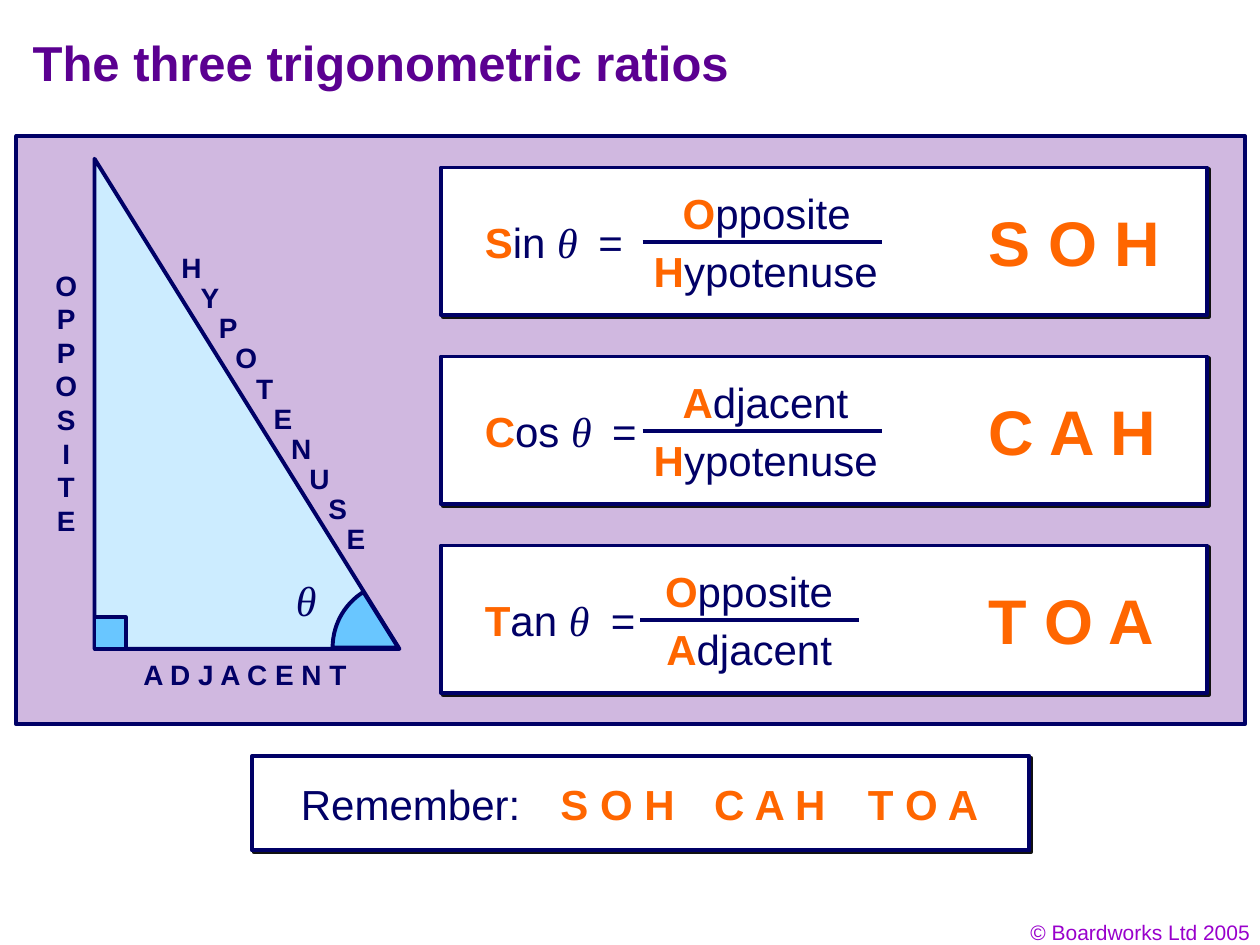
import math
from dataclasses import dataclass

import lxml.etree
import pptx
import pptx.dml.color
import pptx.enum.shapes
import pptx.enum.text
import pptx.oxml.ns
import pptx.util
from pptx.util import Inches

NAVY = pptx.dml.color.RGBColor(0x00, 0x00, 0x66)
INK = pptx.dml.color.RGBColor(0x01, 0x00, 0x66)
ORANGE = pptx.dml.color.RGBColor(0xFF, 0x66, 0x00)
PURPLE = pptx.dml.color.RGBColor(0x5B, 0x00, 0x91)
VIOLET = pptx.dml.color.RGBColor(0x99, 0x00, 0xCC)
LILAC = pptx.dml.color.RGBColor(0xD0, 0xB8, 0xE0)
PALE_BLUE = pptx.dml.color.RGBColor(0xCC, 0xEC, 0xFF)
SKY_BLUE = pptx.dml.color.RGBColor(0x69, 0xC6, 0xFF)
WHITE = pptx.dml.color.RGBColor(0xFF, 0xFF, 0xFF)
SHADOW = pptx.dml.color.RGBColor(0x11, 0x11, 0x11)

SHAPES = pptx.enum.shapes.MSO_SHAPE
ALIGN = pptx.enum.text.PP_ALIGN
qn = pptx.oxml.ns.qn


@dataclass(frozen=True)
class Span:
    text: str
    color: pptx.dml.color.RGBColor = INK
    bold: bool = False
    italic: bool = False
    font: str = "Arial"


@dataclass(frozen=True)
class Ratio:
    name: str
    top_word: str
    bottom_word: str
    acronym: str
    equals_tab: float
    top_left: float
    bottom_left: float
    bar_left: float
    bar_right: float


RATIOS = [
    Ratio("Sin", "Opposite", "Hypotenuse", "S O H", 0.9, 5.32, 5.09, 5.1, 7),
    Ratio("Cos", "Adjacent", "Hypotenuse", "C A H", 1.01, 5.32, 5.09, 5.1, 7),
    Ratio("Tan", "Opposite", "Adjacent", "T O A", 1, 5.18, 5.19, 5.08, 6.82),
]


def add_shadow(effects, distance: float) -> None:
    shadow = lxml.etree.SubElement(
        effects, qn("a:outerShdw"), dist=str(pptx.util.Pt(distance)),
        dir="2700000", algn="ctr", rotWithShape="0")
    lxml.etree.SubElement(shadow, qn("a:srgbClr"), val=str(SHADOW))


def fill_text(frame, lines, *, size: float, align=ALIGN.LEFT,
              tab: float = 0, shadow: bool = False) -> None:
    frame.word_wrap = True
    for index, spans in enumerate(lines):
        para = frame.add_paragraph() if index else frame.paragraphs[0]
        para.alignment = align
        if tab:
            tabs = lxml.etree.SubElement(para._p.get_or_add_pPr(), qn("a:tabLst"))
            lxml.etree.SubElement(tabs, qn("a:tab"), pos=str(Inches(tab)), algn="l")
        for span in spans:
            run = para.add_run()
            run.text = span.text
            run.font.size = pptx.util.Pt(size)
            run.font.bold = span.bold
            run.font.italic = span.italic
            run.font.name = span.font
            run.font.color.rgb = span.color
            if shadow:
                effects = lxml.etree.Element(qn("a:effectLst"))
                run._r.rPr.find(qn("a:solidFill")).addnext(effects)
                add_shadow(effects, 1.4)


def add_text(page, left: float, top: float, width: float, height: float,
             *lines, **style) -> None:
    box = page.shapes.add_textbox(
        Inches(left), Inches(top), Inches(width), Inches(height))
    fill_text(box.text_frame, lines, **style)


def paint(shape, fill, shadow: bool = False) -> None:
    shape.fill.solid()
    shape.fill.fore_color.rgb = fill
    shape.line.color.rgb = NAVY
    shape.line.width = pptx.util.Pt(2.25)
    shape.shadow.inherit = False
    if shadow:
        add_shadow(shape._element.spPr.find(qn("a:effectLst")), 1.4)


def add_figure(page, kind, left: float, top: float, width: float, height: float,
               fill, shadow: bool = False) -> None:
    shape = page.shapes.add_shape(
        kind, Inches(left), Inches(top), Inches(width), Inches(height))
    paint(shape, fill, shadow)


def add_angle(page, x: float, y: float, radius: float, sweep: int) -> None:
    arc = [(Inches(x - radius * math.cos(math.radians(angle))),
            Inches(y - radius * math.sin(math.radians(angle))))
           for angle in range(sweep + 1)]
    builder = page.shapes.build_freeform(Inches(x), Inches(y))
    builder.add_line_segments(arc, close=True)
    paint(builder.convert_to_shape(), SKY_BLUE)


def add_bar(page, left: float, right: float, y: float) -> None:
    bar = page.shapes.add_connector(
        pptx.enum.shapes.MSO_CONNECTOR.STRAIGHT,
        Inches(left), Inches(y), Inches(right), Inches(y))
    bar.line.color.rgb = NAVY
    bar.line.width = pptx.util.Pt(2.25)
    lxml.etree.SubElement(bar._element.spPr, qn("a:effectLst"))


def initial_spans(word: str) -> list[Span]:
    return [Span(word[0], ORANGE, bold=True), Span(word[1:])]


def theta() -> Span:
    return Span("θ", italic=True, font="Times New Roman")


def add_triangle(page) -> None:
    add_figure(page, SHAPES.RIGHT_TRIANGLE, 0.75, 1.26, 2.42, 3.89, PALE_BLUE)
    add_angle(page, 3.16, 5.14, 0.52, 58)
    add_text(page, 2.25, 4.51, 0.36, 0.5, [theta()], size=24, align=ALIGN.CENTER)
    add_text(page, 0.34, 2.08, 0.37, 2.24,
             *[[Span(letter, bold=True)] for letter in "OPPOSITE"],
             size=16, align=ALIGN.CENTER)
    for index, letter in enumerate("HYPOTENUSE"):
        add_text(page, 1.33 + 0.145 * index, 1.94 + 0.239 * index, 0.38, 0.37,
                 [Span(letter, bold=True)], size=16, align=ALIGN.CENTER)
    add_figure(page, SHAPES.RECTANGLE, 0.75, 4.9, 0.25, 0.25, SKY_BLUE)
    add_text(page, 1.04, 5.17, 1.9, 0.37,
             [Span("A D J A C E N T", bold=True)], size=16)


def add_ratio(page, ratio: Ratio, top: float) -> None:
    add_figure(page, SHAPES.RECTANGLE, 3.5, top, 6.08, 1.17, WHITE, shadow=True)
    name = [*initial_spans(ratio.name + " "), theta(), Span("\t=")]
    add_text(page, 3.75, top + 0.34, 1.5, 0.5, name,
             size=24, tab=ratio.equals_tab)
    add_text(page, ratio.top_left, top + 0.11, 1.6, 0.5,
             initial_spans(ratio.top_word), size=24)
    add_bar(page, ratio.bar_left, ratio.bar_right, top + 0.59)
    add_text(page, ratio.bottom_left, top + 0.57, 2, 0.5,
             initial_spans(ratio.bottom_word), size=24)
    add_text(page, 7.75, top + 0.24, 1.6, 0.7,
             [Span(ratio.acronym, ORANGE, bold=True)], size=36, shadow=True)


def add_reminder(page) -> None:
    add_figure(page, SHAPES.RECTANGLE, 2, 6, 6.17, 0.75, WHITE, shadow=True)
    add_text(page, 2.29, 6.13, 2, 0.5, [Span("Remember:")], size=24)
    for index, ratio in enumerate(RATIOS):
        add_text(page, 4.35 + 1.22 * index, 6.13, 1.2, 0.5,
                 [Span(ratio.acronym, ORANGE, bold=True)], size=24, shadow=True)


def main() -> None:
    deck = pptx.Presentation()
    deck.slide_width, deck.slide_height = Inches(10), Inches(7.5)
    page = deck.slides.add_slide(deck.slide_layouts[5])
    title = page.shapes.title
    title.left, title.top = Inches(0.16), Inches(0.16)
    title.width, title.height = Inches(8.5), Inches(0.67)
    title.text_frame.vertical_anchor = pptx.enum.text.MSO_ANCHOR.MIDDLE
    fill_text(title.text_frame,
              [[Span("The three trigonometric ratios", PURPLE, bold=True)]], size=28)
    add_text(page, 7.69, 7.25, 2.33, 0.3,
             [Span("© Boardworks Ltd 2005", VIOLET)], size=12, align=ALIGN.RIGHT)
    add_figure(page, SHAPES.RECTANGLE, 0.13, 1.08, 9.75, 4.67, LILAC)
    add_triangle(page)
    for index, ratio in enumerate(RATIOS):
        add_ratio(page, ratio, 1.33 + 1.5 * index)
    add_reminder(page)
    deck.save("out.pptx")


if __name__ == "__main__":
    main()
